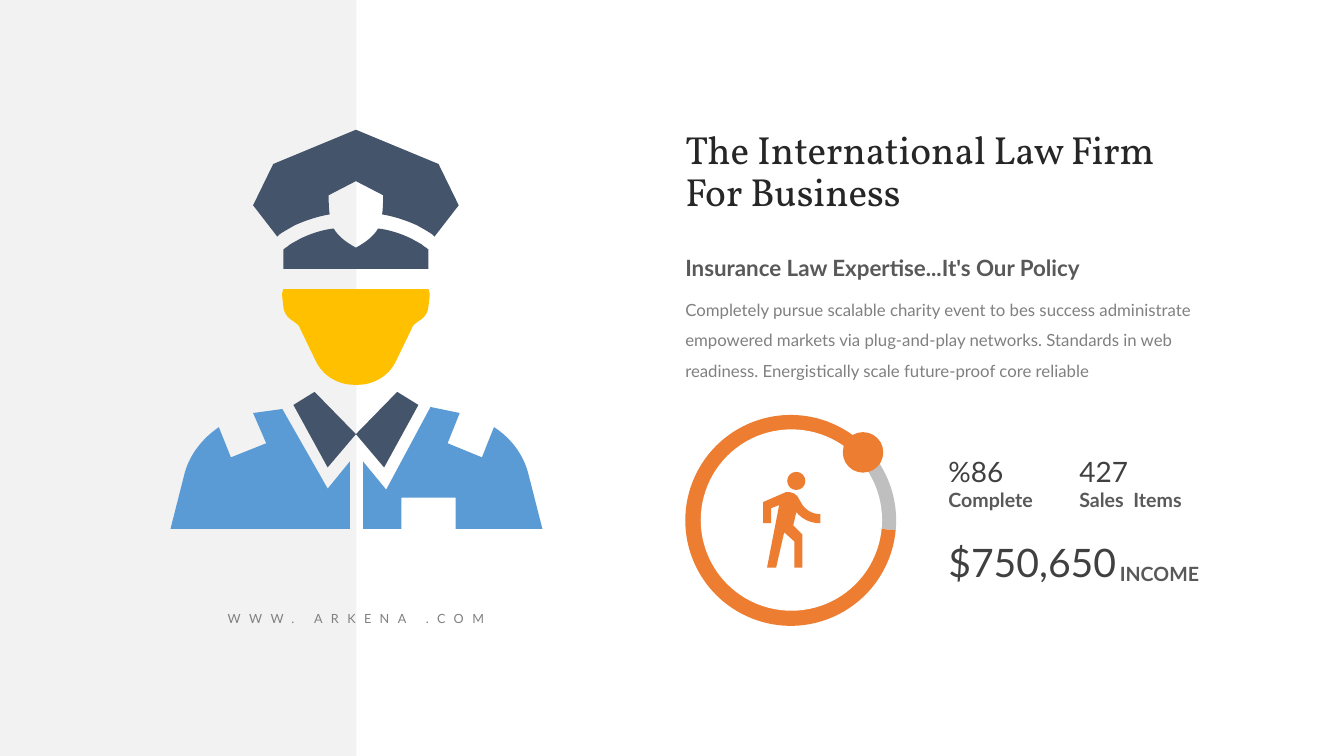
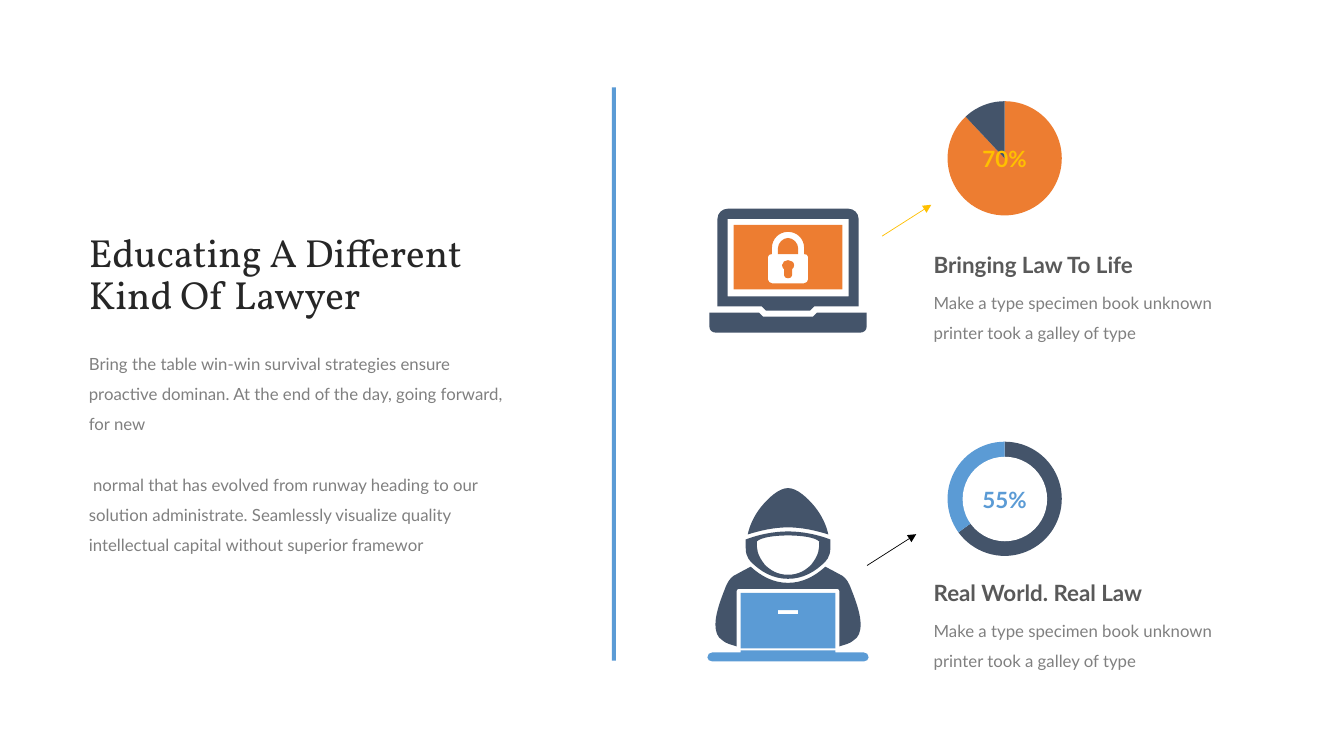
import dataclasses
import itertools

import lxml.etree
import pptx
import pptx.chart.data
import pptx.dml.color
import pptx.enum.chart
import pptx.enum.shapes
import pptx.enum.text
import pptx.oxml
import pptx.oxml.ns
import pptx.util

Cm = pptx.util.Cm
Pt = pptx.util.Pt
qn = pptx.oxml.ns.qn
ALIGN = pptx.enum.text.PP_ALIGN
ANCHOR = pptx.enum.text.MSO_ANCHOR
SHAPE = pptx.enum.shapes.MSO_SHAPE


@dataclasses.dataclass(frozen=True)
class Theme:
    # colours
    white: str = "FFFFFF"
    panel: str = "F2F2F2"
    navy: str = "44546A"
    blue: str = "5B9BD5"
    orange: str = "ED7D31"
    gold: str = "FFC000"
    silver: str = "BFBFBF"
    black: str = "000000"
    title_ink: str = "262626"
    figure_ink: str = "404040"
    heading_ink: str = "595959"
    body_ink: str = "808080"
    # fonts and type sizes
    serif: str = "Vollkorn"
    sans: str = "Lato"
    chart_font: str = "Calibri"
    title: int = 28
    figure: int = 20
    heading: int = 16
    label: int = 14
    body: int = 12
    chart: int = 10
    small: int = 9


T = Theme()
TITLE = dict(size=T.title, font=T.serif, color=T.title_ink, spacing=Pt(30), anchor=ANCHOR.MIDDLE)
HEADING = dict(size=T.heading, color=T.heading_ink, bold=True)
LABEL = dict(size=T.label, color=T.heading_ink, bold=True)
FIGURE = dict(size=T.figure, color=T.figure_ink)
BODY = dict(size=T.body, color=T.body_ink, spacing=1.5, before=21.6)

# Icon outlines: points on a fine grid, "C" starts a curve, "|" a new contour.
# A mirrored outline gives the right half only; x = 0 is its axis.
GRID = Cm(0.0254)

OFFICER = [  # colour, mirrored, outline
    (T.navy, True, "0,0 82,34 102,75 78,106 C 77,105 77,105 76,104 C 72,101 66,98 61,95"
                   " C 50,90 38,86 26,84 C 27,78 27,72 27,65 0,51"),
    (T.navy, True, "0,117 C 11,111 18,105 22,98 C 32,99 45,103 55,108"
                   " C 60,111 65,113 68,116 C 70,117 71,118 72,119 72,138"),
    (T.blue, False, "74,275 30,357 7,329 7,396 45,396 45,365 99,365 99,396 185,396 171,341"
                    " C 166,322 154,306 137,295 125,325 91,311 103,281"),
    (T.blue, False, "-73,277 -102,281 -89,311 -124,325 -136,295 C -152,306 -165,322 -170,341"
                    " -184,396 -6,396 -6,329 -28,356"),
    (T.navy, True, "0,302 41,260 62,273 28,335 0,302"),
    (T.gold, True, "72,158 C 73,161 74,164 73,167 72,175 C 72,180 69,185 65,188 62,190"
                   " C 59,192 56,194 55,198 40,229 C 33,244 18,253 2,253"),
]
WALKER = [
    (T.orange, False, "4,95 16,33 8,36 8,51 0,51 0,30 23,20 C 24,20 25,20 26,20"
                      " C 29,20 32,22 34,24 38,31 C 42,38 49,42 57,42 57,51"
                      " C 47,51 39,47 33,40 30,53 39,62 39,95 31,95 31,69 21,60 13,95"
                      " | 33,18 C 28,18 24,14 24,9 C 24,4 28,0 33,0"
                      " C 38,0 42,4 42,9 C 42,14 38,18 33,18"),
]
LAPTOP = [
    (T.navy, True, "0,107 25,107 29,103 78,103 78,117 C 78,121 75,123 71,123"),
    (T.navy, True, "60,0 C 65,0 70,4 70,10 70,97 26,97 22,101 | 60,10 60,87"),
    (T.orange, True, "0,29 C 5,29 10,34 10,39 10,45"),
    (T.orange, True, "0,51 C 3,51 6,53 6,56 C 6,58 5,59 4,60 4,66 C 4,68 2,69 0,69"),
    (T.orange, True, "54,16 54,80 | 0,23 C 9,23 16,30 16,39 16,45"
                     " C 18,45 20,46 20,48 20,70 C 20,72 18,74 16,74"),
]
HOODED_FIGURE = [
    (T.blue, True, "47,161 47,163 75,163 C 78,163 80,165 80,168 C 80,170 78,172 75,172"),
    (T.blue, True, "47,104 47,159 | 10,121 10,125"),
    (T.navy, True, "0,94 C 15,94 27,87 37,78 C 45,82 50,85 54,87 C 58,90 60,93 63,101"
                   " C 69,116 72,127 72,135 C 72,143 70,148 65,151 C 62,154 57,155 51,157"
                   " 51,102 C 51,101 50,100 49,100"),
    (T.navy, True, "0,43 C 14,43 29,46 42,51 C 42,52 42,54 42,55 C 42,60 42,64 41,66"
                   " C 40,69 39,71 37,73 C 27,83 15,90 0,90"
                   " | 0,47 C 14,47 27,49 31,53 C 31,60 31,66 23,76 C 18,81 11,86 0,86"),
    (T.navy, True, "0,0 C 4,0 9,2 14,6 C 18,9 23,14 27,19 C 34,28 38,37 40,46"
                   " C 27,42 14,39 0,39"),
]


def rgb(color):
    return pptx.dml.color.RGBColor.from_string(color)


def paint(sp, color):
    sp.shadow.inherit = False
    sp.fill.solid()
    sp.fill.fore_color.rgb = rgb(color)
    sp.line.fill.background()


def shape(s, kind, box, color):
    paint(s.shapes.add_shape(kind, *map(Cm, box)), color)


def text(s, box, content, *, size, color, font=T.sans, bold=False, align=ALIGN.LEFT,
         anchor=ANCHOR.TOP, spacing=None, before=0, tracking=None):
    """Add a text box; each line of content is a paragraph."""
    tf = s.shapes.add_textbox(*map(Cm, box)).text_frame
    tf.margin_left = tf.margin_right = tf.margin_top = tf.margin_bottom = 0
    tf.word_wrap = True
    tf.auto_size = pptx.enum.text.MSO_AUTO_SIZE.SHAPE_TO_FIT_TEXT
    tf.vertical_anchor = anchor
    for i, line in enumerate(content.split("\n")):
        p = tf.add_paragraph() if i else tf.paragraphs[0]
        p.alignment = align
        if spacing:
            p.line_spacing = spacing
        if i:
            p.space_before = Pt(before)
        r = p.add_run()
        r.text = line
        r.font.name, r.font.size, r.font.bold = font, Pt(size), bold
        r.font.color.rgb = rgb(color)
        if tracking:
            r.font._element.set("spc", str(tracking * 100))


def trace(contour, mirrored):
    """Return a contour's points, and how many points each segment takes."""
    points, sizes = [], []
    tokens = iter(contour.split())
    for token in tokens:
        segment = list(itertools.islice(tokens, 3)) if token == "C" else [token]
        points += [tuple(float(n) * GRID for n in pair.split(",")) for pair in segment]
        sizes.append(len(segment))
    sizes = sizes[1:]
    if mirrored:
        on_axis = points[-1][0] == 0
        sizes += [1] * (not on_axis) + sizes[::-1]
        points += [(-x, y) for x, y in reversed(points)][on_axis:]
    return points, sizes


def bend(sp, sizes):
    """Turn each run of three lines that stands for a curve into a Bézier."""
    lines = iter(list(sp._element.iter(qn("a:lnTo"))))
    for size in sizes:
        first, *others = itertools.islice(lines, size)
        if others:
            first.tag = qn("a:cubicBezTo")
        for line in others:
            first.append(line[0])
            line.getparent().remove(line)


def icon(s, x, y, parts, grouped=False):
    """Draw an icon whose grid origin lies at x, y."""
    drawn = []
    for color, mirrored, outline in parts:
        builder, all_sizes = None, []
        for contour in outline.split("|"):
            points, sizes = trace(contour, mirrored)
            all_sizes += sizes
            if builder is None:
                builder = s.shapes.build_freeform(*points[0], scale=1.0)
            else:
                builder.move_to(*points[0])
            builder.add_line_segments(points[1:], close=True)
        sp = builder.convert_to_shape(Cm(x), Cm(y))
        bend(sp, all_sizes)
        paint(sp, color)
        drawn.append(sp)
    if grouped:
        s.shapes.add_group_shape(drawn)


def pie(s, x, y, side, values, colors, start=0, fill_frame=False):
    data = pptx.chart.data.CategoryChartData()
    data.categories = ["1", "2"]
    data.add_series("Series 1", values)
    chart = s.shapes.add_chart(pptx.enum.chart.XL_CHART_TYPE.PIE,
                               *map(Cm, (x, y, side, side)), data).chart
    chart.has_legend = chart.has_title = False
    chart.font.name, chart.font.size = T.chart_font, Pt(T.chart)
    chart.font.color.rgb = rgb(T.black)
    plot = chart.plots[0]
    plot.vary_by_categories = False
    for i, color in enumerate(colors):
        fill = plot.series[0].points[i].format.fill
        fill.solid()
        fill.fore_color.rgb = rgb(color)
    # first slice angle and plot area size
    if start:
        lxml.etree.SubElement(plot._element, qn("c:firstSliceAng")).set("val", str(start))
    if fill_frame:
        area = chart._chartSpace.chart.plotArea
        layout = area.find(qn("c:layout"))
        if layout is None:
            layout = pptx.oxml.parse_xml(f'<c:layout {pptx.oxml.ns.nsdecls("c")}/>')
            area.insert(0, layout)
        manual = lxml.etree.SubElement(layout, qn("c:manualLayout"))
        for tag, val in (("layoutTarget", "inner"), ("xMode", "edge"), ("yMode", "edge"),
                         ("x", "0"), ("y", "0"), ("w", "0.99"), ("h", "1")):
            lxml.etree.SubElement(manual, qn("c:" + tag)).set("val", val)


def arrow(s, x, y, color):
    """Draw a short arrow that rises to the right from x, y."""
    line = s.shapes.add_connector(pptx.enum.shapes.MSO_CONNECTOR.STRAIGHT,
                                  *map(Cm, (x, y, x + 1.24, y - 0.79)))
    line.line.color.rgb = rgb(color)
    line.line.width = Pt(0.5)
    lxml.etree.SubElement(line.line._get_or_add_ln(), qn("a:tailEnd")).set("type", "triangle")
    lxml.etree.SubElement(line._element.spPr, qn("a:effectLst"))


def stat(s, x, figure, label):
    text(s, (x, 11.46, 2.74, 0.86), figure, **FIGURE)
    text(s, (x, 12.29, 2.74, 0.61), label, **LABEL)


def topic(s, y, percent, percent_color, values, colors, heading, heading_y, hole=False):
    """Pie with its percentage, and a heading with text below it."""
    x = 23.53
    pie(s, x, y, 3.58, values, colors)
    if hole:
        shape(s, SHAPE.OVAL, (x + 0.73, y + 0.73, 2.13, 2.13), T.white)
    text(s, (x + 1.01, y + 1.46, 1.55, 0.69), percent, align=ALIGN.CENTER,
         **{**HEADING, "color": percent_color})
    text(s, (x, heading_y, 5.38, 0.69), heading, **HEADING)
    text(s, (x, heading_y + 0.8, 7.19, 1.45),
         "Make a type specimen book unknown printer took a galley of type", **BODY)


def law_firm_slide(s):
    x, width = 17.27, 13.26
    # left panel with officer and address
    shape(s, SHAPE.RECTANGLE, (0, 0, 8.98, 19.05), T.panel)
    icon(s, 8.97, 3.27, OFFICER)
    text(s, (5.41, 15.39, 7.11, 0.38), "WWW. ARKENA .COM", size=T.small,
         color=T.body_ink, align=ALIGN.CENTER, tracking=6)
    # heading and text
    text(s, (x, 3.28, width, 2.13), "The International Law Firm For Business", **TITLE)
    text(s, (x, 6.41, width, 0.69), "Insurance Law Expertise...It's Our Policy", **HEADING)
    text(s, (x, 7.3, width, 2.24),
         "Completely pursue scalable charity event to bes success administrate empowered "
         "markets via plug-and-play networks. Standards in web readiness. Energistically "
         "scale future-proof core reliable", **BODY)
    # progress ring
    pie(s, x, 10.43, 5.37, (14, 86), (T.silver, T.orange), start=45, fill_frame=True)
    shape(s, SHAPE.OVAL, (17.66, 10.82, 4.57, 4.57), T.white)
    shape(s, SHAPE.OVAL, (21.24, 10.89, 1.02, 1.02), T.orange)
    icon(s, 19.23, 11.89, WALKER)
    # key figures
    stat(s, 23.9, "%86", "Complete")
    stat(s, 27.2, "427", "Sales  Items")
    text(s, (23.9, 13.56, 4.34, 1.19), "$750,650", **{**FIGURE, "size": T.title})
    text(s, (28.22, 14.15, 2.31, 0.61), "INCOME", **LABEL)


def lawyer_slide(s):
    # heading, text and divider
    text(s, (2.24, 5.87, 10.92, 2.13), "Educating A Different Kind Of Lawyer", **TITLE)
    text(s, (2.24, 8.66, 10.92, 4.52),
         "Bring the table win-win survival strategies ensure proactive dominan. At the end "
         "of the day, going forward, for new\n"
         " normal that has evolved from runway heading to our solution administrate. "
         "Seamlessly visualize quality intellectual capital without superior framewor", **BODY)
    shape(s, SHAPE.RECTANGLE, (15.42, 2.2, 0.1, 14.45), T.blue)
    # upper topic
    icon(s, 19.86, 5.26, LAPTOP, grouped=True)
    arrow(s, 22.23, 5.95, T.gold)
    topic(s, 2.2, "70%", T.gold, (88, 12), (T.orange, T.navy), "Bringing Law To Life", 6.32)
    # lower topic
    icon(s, 19.86, 12.3, HOODED_FIGURE, grouped=True)
    arrow(s, 21.85, 14.25, T.black)
    topic(s, 10.78, "55%", T.blue, (65, 35), (T.navy, T.blue), "Real World. Real Law", 14.59,
          hole=True)


def main():
    prs = pptx.Presentation()
    prs.slide_width, prs.slide_height = Cm(33.87), Cm(19.05)
    for build in (law_firm_slide, lawyer_slide):
        build(prs.slides.add_slide(prs.slide_layouts[6]))
    prs.save("out.pptx")


if __name__ == "__main__":
    main()
